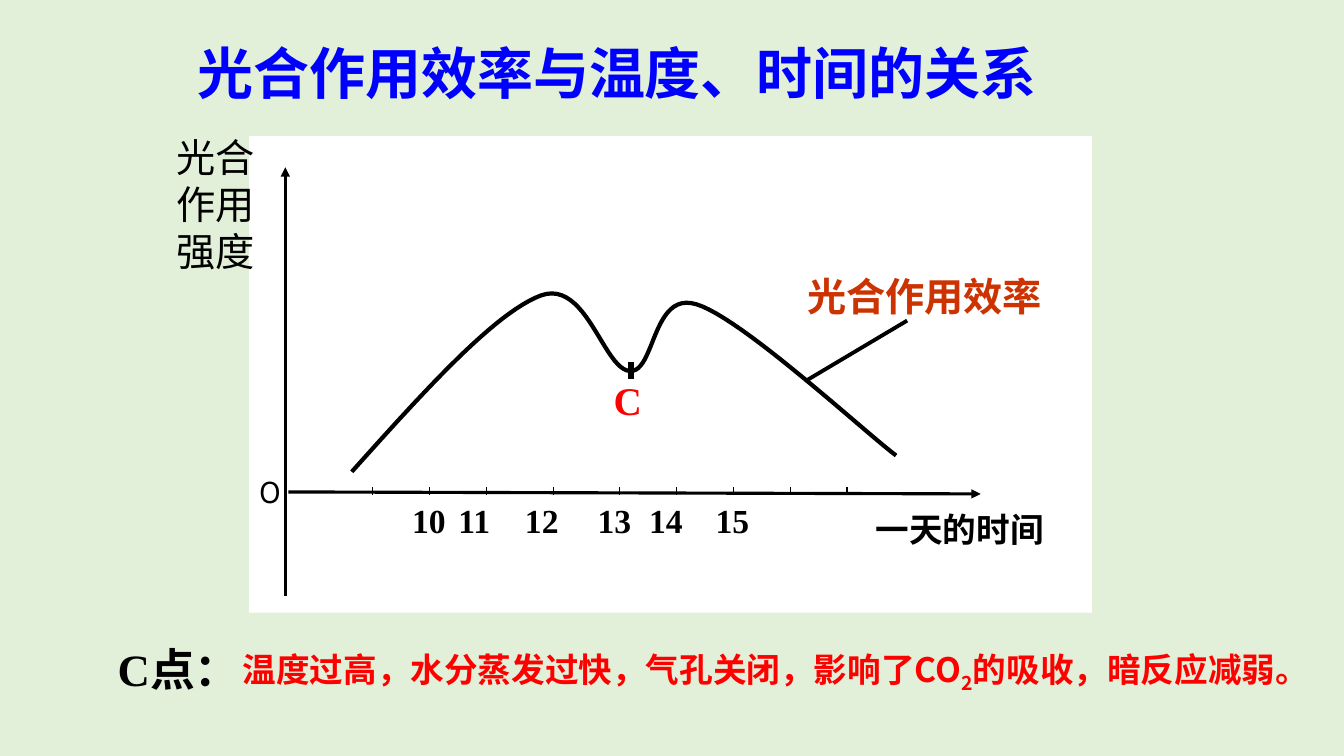
from dataclasses import dataclass
from itertools import accumulate

from lxml import etree
from pptx import Presentation
from pptx.dml.color import RGBColor
from pptx.enum.shapes import MSO_CONNECTOR, MSO_SHAPE
from pptx.enum.text import MSO_AUTO_SIZE
from pptx.oxml.ns import qn
from pptx.util import Pt

STRAIGHT = MSO_CONNECTOR.STRAIGHT
RECTANGLE = MSO_SHAPE.RECTANGLE
GROW = MSO_AUTO_SIZE.SHAPE_TO_FIT_TEXT
SERIF = "Times New Roman"
SANS = "Karla"
CHINESE = "Noto Sans CJK SC"
BLACK = "000000"
RED = "FF0000"
STEPS_PER_BEND = 24

Point = tuple[float, float]


@dataclass
class Label:
    runs: list[str]
    left: float
    top: float
    width: float
    height: float
    size: float
    font: str
    color: str = BLACK
    bold: bool = True
    wrap: bool = True
    subscript: int | None = None


@dataclass
class Stroke:
    start: Point
    end: Point
    weight: float
    arrow: bool = False


def rgb(value: str) -> RGBColor:
    return RGBColor.from_string(value)


def draw_label(slide, label: Label) -> None:
    box = slide.shapes.add_textbox(
        Pt(label.left), Pt(label.top), Pt(label.width), Pt(label.height))
    frame = box.text_frame
    frame.word_wrap = label.wrap
    frame.auto_size = GROW
    paragraph = frame.paragraphs[0]
    for index, text in enumerate(label.runs):
        run = paragraph.add_run()
        run.text = text
        run.font.size = Pt(label.size)
        run.font.bold = label.bold
        run.font.color.rgb = rgb(label.color)
        run.font.name = label.font
        properties = run.font._element
        east_asian = etree.SubElement(properties, qn("a:ea"))
        east_asian.set("typeface", CHINESE)
        if index == label.subscript:
            properties.set("baseline", "-25000")


def draw_stroke(slide, stroke: Stroke) -> None:
    connector = slide.shapes.add_connector(
        STRAIGHT, *(Pt(value) for value in stroke.start + stroke.end))
    connector.line.color.rgb = rgb(BLACK)
    connector.line.width = Pt(stroke.weight)
    if stroke.arrow:
        arrowhead = etree.SubElement(connector.line._get_or_add_ln(), qn("a:tailEnd"))
        arrowhead.set("type", "triangle")
    etree.SubElement(connector._element.spPr, qn("a:effectLst"))


def bend_point(start: Point, first: Point, second: Point, end: Point, t: float) -> Point:
    u = 1 - t
    x, y = (
        u**3 * a + 3 * u * u * t * b + 3 * u * t * t * c + t**3 * d
        for a, b, c, d in zip(start, first, second, end))
    return x, y


def draw_curve(slide, start: Point, bends: list[tuple[Point, Point, Point]], weight: float) -> None:
    points: list[Point] = []
    origin = start
    for first, second, end in bends:
        points += [bend_point(origin, first, second, end, step / STEPS_PER_BEND)
                   for step in range(1, STEPS_PER_BEND + 1)]
        origin = end
    builder = slide.shapes.build_freeform(Pt(start[0]), Pt(start[1]))
    builder.add_line_segments([(Pt(x), Pt(y)) for x, y in points], close=False)
    curve = builder.convert_to_shape()
    curve.shadow.inherit = False
    curve.fill.background()
    curve.line.color.rgb = rgb(BLACK)
    curve.line.width = Pt(weight)


def draw_panel(slide, left: float, top: float, width: float, height: float) -> None:
    panel = slide.shapes.add_shape(RECTANGLE, Pt(left), Pt(top), Pt(width), Pt(height))
    panel.shadow.inherit = False
    panel.fill.solid()
    panel.fill.fore_color.rgb = rgb("FFFFFF")
    panel.line.fill.background()


HOUR_LEFTS = {"10": 287.3, "11": 320.4, "12": 367.9, "13": 419.8, "14": 456.5, "15": 504}
TICK_GAPS = [40.6, 40.6, 47.5, 47.5] + [40.6] * 4
EFFICIENCY_START = (251.3, 337)
EFFICIENCY_BENDS = [
    ((302.4, 280.1), (353.5, 223.2), (386.6, 211)),
    ((419, 199.4), (431.3, 264.2), (450, 265)),
    ((468, 266.4), (465.8, 207.4), (497.5, 217.4)),
    ((529.2, 226.8), (616.3, 307.4), (640.1, 325.4)),
]

AXES = [
    Stroke((206, 351.4), (700.5, 352.8), 2.25, arrow=True),
    Stroke((203.8, 425.5), (203.8, 119.5), 2.25, arrow=True),
]
TICKS = [Stroke((x, 353.5), (x, 347.8), 0.75) for x in accumulate(TICK_GAPS, initial=266.4)]
MARKS = [
    Stroke((450.7, 258.5), (450.7, 270.7), 4),
    Stroke((648, 229), (576.7, 271.4), 2.75),
]

HOURS = [Label([hour], left, 353.2, 54, 36, 24, SERIF) for hour, left in HOUR_LEFTS.items()]
LABELS = [
    Label(["光合作用效率与温度、时间的关系"], 134, 24, 731.5, 55.5, 40, SERIF, "0000FF"),
    Label(["一天的时间"], 618.5, 360, 225.4, 36, 24, SANS),
    Label(["O"], 178, 332, 34, 36, 24, SANS, bold=False),
    Label(["C"], 431.3, 265, 30.2, 41, 28, SERIF, RED),
    Label(["光合作用效率"], 569.5, 190.8, 199.4, 41, 28, SANS, "CC3300"),
    Label(["C点："], 77, 455, 102.2, 45.4, 32, SERIF),
    Label(["温度过高，水分蒸发过快，气孔关闭，影响了CO", "2", "的吸收，暗反应减弱。"],
          166.3, 460, 774, 36, 24, CHINESE, RED, wrap=False, subscript=1),
    Label(["光合作用强度"], 118.8, 91.4, 86.4, 108.7, 28, CHINESE, bold=False),
]


def main() -> None:
    presentation = Presentation()
    presentation.slide_width = Pt(960)
    presentation.slide_height = Pt(540)
    slide = presentation.slides.add_slide(presentation.slide_layouts[6])
    slide.background.fill.solid()
    slide.background.fill.fore_color.rgb = rgb("E2F0D9")

    draw_panel(slide, 178, 97.2, 602, 340.5)
    for stroke in AXES + TICKS + MARKS:
        draw_stroke(slide, stroke)
    draw_curve(slide, EFFICIENCY_START, EFFICIENCY_BENDS, 3)
    for label in LABELS + HOURS:
        draw_label(slide, label)

    presentation.save("out.pptx")


if __name__ == "__main__":
    main()
